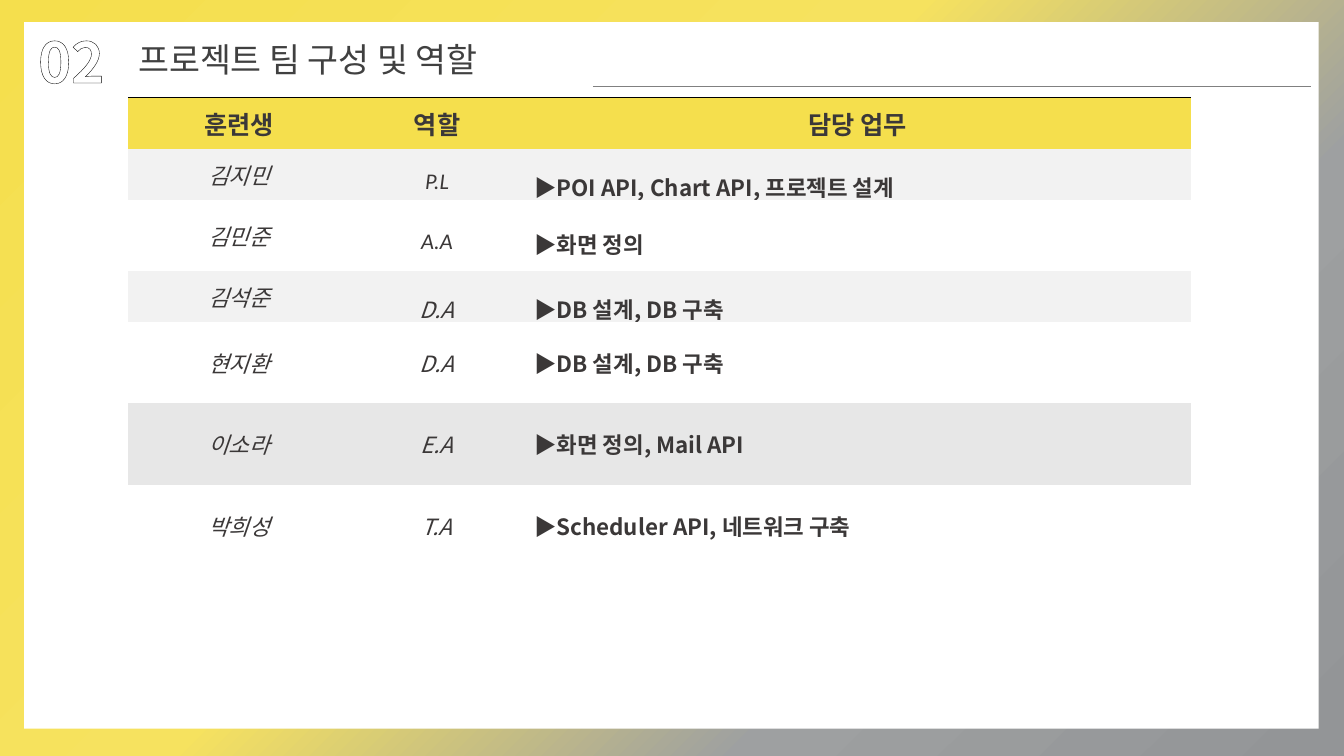
from lxml.etree import SubElement
from pptx import Presentation
from pptx.dml.color import RGBColor
from pptx.enum.dml import MSO_PATTERN as Pattern
from pptx.enum.shapes import MSO_CONNECTOR as Connector, MSO_SHAPE as Shape
from pptx.enum.text import MSO_ANCHOR as Anchor, MSO_AUTO_SIZE as AutoSize, PP_ALIGN as Align
from pptx.oxml.ns import qn
from pptx.util import Inches, Pt

YELLOW = RGBColor(0xF5, 0xDF, 0x4D)
PALE_YELLOW = RGBColor(0xF6, 0xE2, 0x5F)
SILVER = RGBColor(0x9E, 0xA0, 0xA1)
STEEL = RGBColor(0x93, 0x95, 0x97)
RULE_GRAY = RGBColor(0x80, 0x80, 0x80)
TITLE_GRAY = RGBColor(0x40, 0x40, 0x40)
INK = RGBColor(0x3B, 0x38, 0x38)
BLACK = RGBColor(0, 0, 0)
WHITE = RGBColor(0xFF, 0xFF, 0xFF)
BAND = RGBColor(0xF2, 0xF2, 0xF2)
DARK_BAND = RGBColor(0xE7, 0xE7, 0xE7)

SANS = "Noto Sans CJK KR"
LATIN = "Calibri"
NO_STYLE = "{2D5ABB26-0587-4C30-8999-92F81FD0307C}"

BACKDROP = [(0, YELLOW, 100), (44, PALE_YELLOW, 70), (71, SILVER, 70), (100, STEEL, 100)]
HEADINGS = ["훈련생", "역할", "담당 업무"]
TEAM = [
    ("김지민", "P.L", "▶POI API, Chart API, 프로젝트 설계", 5.6, BAND, 1.5, LATIN),
    ("김민준", "A.A", "▶화면 정의", 9.47, WHITE, 1.5, LATIN),
    ("김석준", "D.A", "▶DB 설계, DB 구축", 2.27, BAND, 1.5, SANS),
    ("현지환", "D.A", "▶DB 설계, DB 구축", 10.8, WHITE, None, SANS),
    ("이소라", "E.A", "▶화면 정의, Mail API", 10.8, DARK_BAND, None, SANS),
    ("박희성", "T.A", "▶Scheduler API, 네트워크 구축", 10.8, WHITE, None, SANS),
]


def solid(parent, color, alpha=100):
    """Add a colour, with its opacity in percent, to an XML parent."""
    tint = SubElement(parent, qn("a:srgbClr"), val=str(color))
    if alpha < 100:
        SubElement(tint, qn("a:alpha"), val=str(alpha * 1000))


def outline(parent, tag, color, points):
    """Add a solid line to an XML parent."""
    line = SubElement(parent, qn(tag), w=str(Pt(points)))
    solid(SubElement(line, qn("a:solidFill")), color)
    return line


def write(frame, text, size=16, font=SANS, color=INK, bold=False, italic=False,
          align=Align.LEFT, spacing=None):
    """Put one formatted line into a text frame and return its run."""
    line = frame.paragraphs[0]
    line.alignment = align
    line.line_spacing = spacing
    run = line.add_run()
    run.text = text
    run.font.size, run.font.name = Pt(size), font
    run.font.bold, run.font.italic = bold, italic
    run.font.color.rgb = color
    SubElement(run.font._element, qn("a:ea"), typeface=SANS)
    return run


class TeamSlide:
    """Style and current slide, measured in percent of its size."""

    def __init__(self, deck):
        """Open a slide with only a title."""
        self.width, self.height = deck.slide_width, deck.slide_height
        self.slide = deck.slides.add_slide(deck.slide_layouts[5])
        self.shapes = self.slide.shapes

    def across(self, share):
        """Turn a percentage of the width into a length."""
        return round(self.width * share / 100)

    def down(self, share):
        """Turn a percentage of the height into a length."""
        return round(self.height * share / 100)

    def box(self, left, top, width, height):
        """Turn four percentages into a position and a size."""
        return self.across(left), self.down(top), self.across(width), self.down(height)

    def backdrop(self, stops):
        """Fill the background with a diagonal gradient."""
        fill = self.slide.background.fill
        fill.gradient()
        fill.gradient_angle = 315
        stop_list = next(self.slide.element.iter(qn("a:gsLst")))
        for stop in list(stop_list):
            stop_list.remove(stop)
        for place, color, alpha in stops:
            solid(SubElement(stop_list, qn("a:gs"), pos=str(place * 1000)), color, alpha)

    def panel(self, *place):
        """Lay a white sheet behind the content."""
        sheet = self.shapes.add_shape(Shape.RECTANGLE, *self.box(*place))
        sheet.shadow.inherit = False
        sheet.fill.solid()
        sheet.fill.fore_color.rgb = WHITE
        sheet.line.fill.background()
        self.shapes.element.insert(2, sheet.element)

    def number(self, text, *place):
        """Write the outlined section number."""
        frame = self.shapes.add_textbox(*self.box(*place)).text_frame
        frame.word_wrap = True
        font = write(frame, text, size=40, bold=True).font
        font.fill.patterned()
        font.fill.pattern = Pattern.DARK_UPWARD_DIAGONAL
        font.fill.fore_color.rgb, font.fill.back_color.rgb = INK, WHITE
        font._element.insert(0, outline(font._element, "a:ln", BLACK, 1.25))

    def title(self, text, *place):
        """Fill and place the title."""
        heading = self.shapes.title
        heading.left, heading.top, heading.width, heading.height = self.box(*place)
        frame = heading.text_frame
        frame.word_wrap = False
        frame.auto_size = AutoSize.SHAPE_TO_FIT_TEXT
        frame.vertical_anchor = Anchor.TOP
        write(frame, text, size=24, color=TITLE_GRAY)

    def rule(self, start, end, level):
        """Draw a horizontal line."""
        x1, x2, y = self.across(start), self.across(end), self.down(level)
        line = self.shapes.add_connector(Connector.STRAIGHT, x1, y, x2, y)
        line.line.color.rgb, line.line.width = RULE_GRAY, Pt(1)
        SubElement(line.element.spPr, qn("a:effectLst"))

    def cell(self, cell, text, fill, **style):
        """Fill one table cell."""
        cell.fill.solid()
        cell.fill.fore_color.rgb = fill
        cell.vertical_anchor = Anchor.MIDDLE
        write(cell.text_frame, text, **style)

    def team_table(self, left, top, columns, head_height):
        """Build the table of members, roles and duties."""
        heights = [head_height] + [member[3] for member in TEAM]
        place = self.box(left, top, sum(columns), sum(heights))
        table = self.shapes.add_table(len(heights), len(columns), *place).table
        table.first_row = table.horz_banding = False
        next(table._tbl.iter(qn("a:tableStyleId"))).text = NO_STYLE
        for column, width in zip(table.columns, columns):
            column.width = self.across(width)
        for row, height in zip(table.rows, heights):
            row.height = self.down(height)
        for cell, heading in zip(table.rows[0].cells, HEADINGS):
            self.cell(cell, heading, YELLOW, size=18, font=LATIN, bold=True, align=Align.CENTER)
            props = cell._tc.tcPr
            props.insert(0, outline(props, "a:lnT", BLACK, 0.75))
        for index, (name, role, duty, _, fill, spacing, font) in enumerate(TEAM, 1):
            name_cell, role_cell, duty_cell = table.rows[index].cells
            self.cell(name_cell, name, fill, font=LATIN, italic=True, align=Align.CENTER)
            self.cell(role_cell, role, fill, font=font, italic=True, align=Align.CENTER,
                      spacing=spacing)
            self.cell(duty_cell, duty, fill, bold=True, spacing=spacing)


def main():
    """Build and save the slide."""
    deck = Presentation()
    deck.slide_width, deck.slide_height = Inches(13.33), Inches(7.5)
    page = TeamSlide(deck)
    page.backdrop(BACKDROP)
    page.panel(1.8, 2.93, 96.32, 93.47)
    page.number("02", 2.1, 2.93, 9.53, 10.27)
    page.rule(44.11, 97.52, 11.47)
    page.title("프로젝트 팀 구성 및 역할", 9.53, 4.53, 31.81, 6.67)
    page.team_table(9.53, 12.93, (16.5, 12.98, 49.6), 6.8)
    deck.save("out.pptx")


if __name__ == "__main__":
    main()
